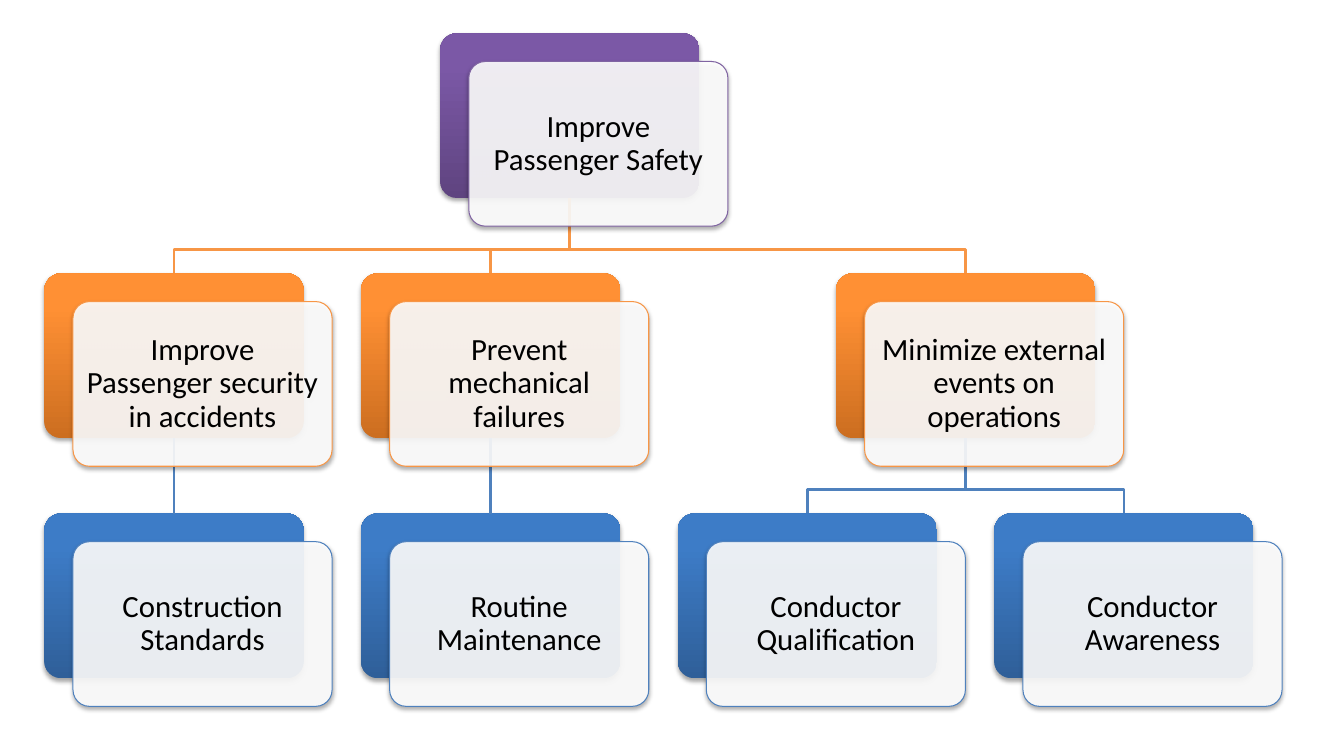
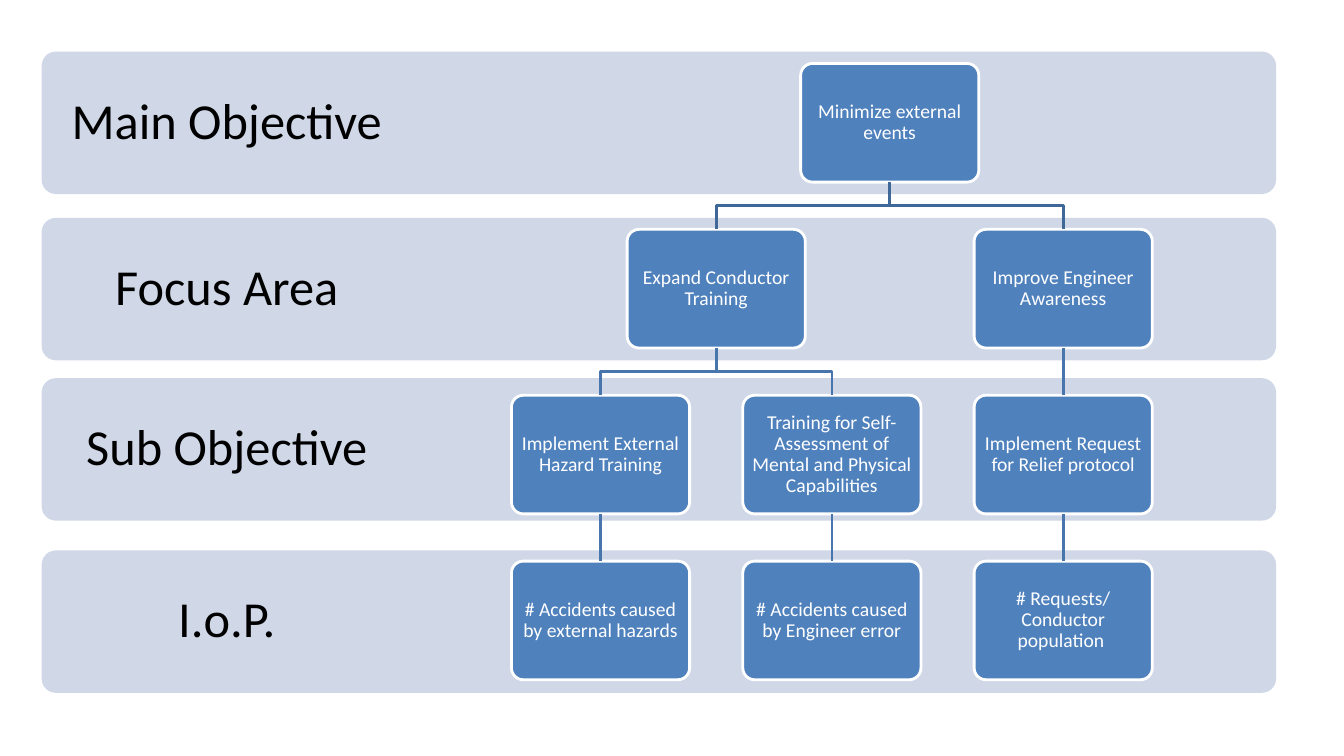
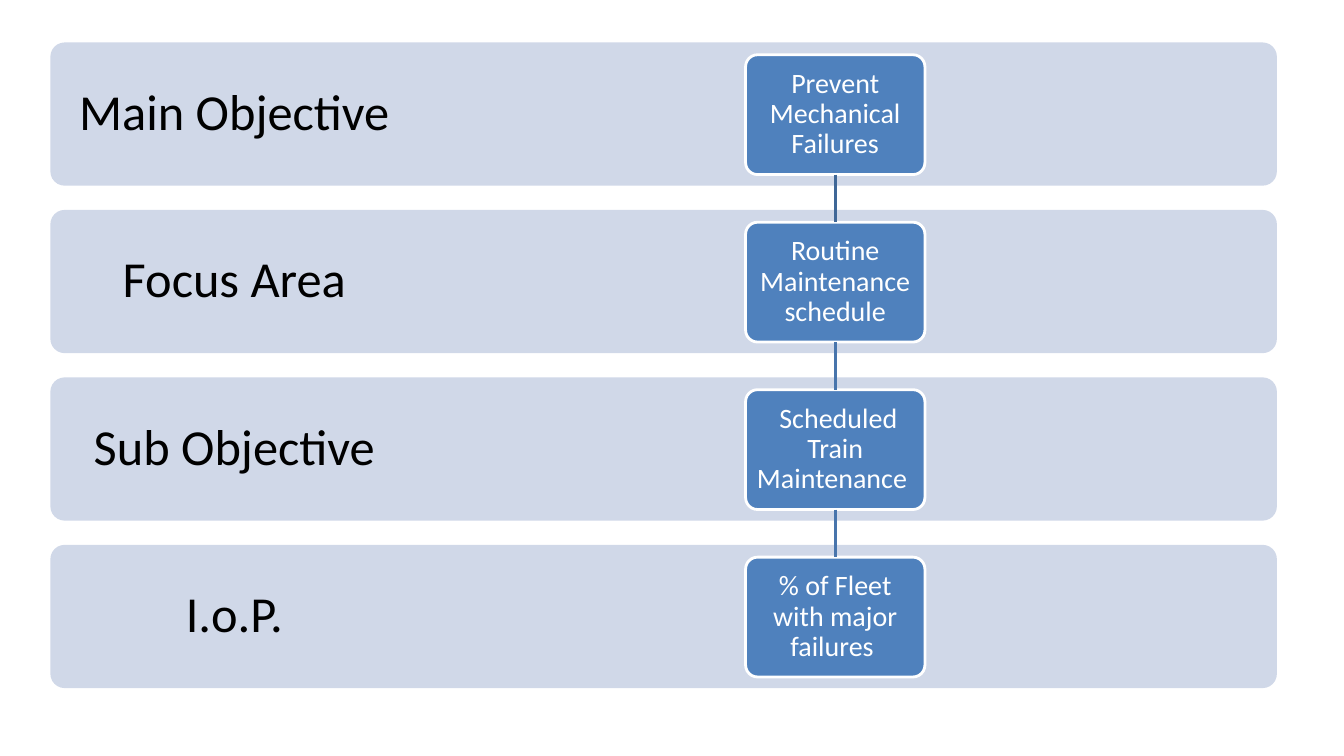
from lxml.etree import SubElement
from pptx import Presentation
from pptx.dml.color import RGBColor
from pptx.enum.shapes import MSO_CONNECTOR, MSO_SHAPE
from pptx.enum.text import MSO_ANCHOR, PP_ALIGN
from pptx.oxml.ns import qn
from pptx.util import Cm, Pt

FONT = "Calibri"
BLACK = RGBColor(0x00, 0x00, 0x00)
WHITE = RGBColor(0xFF, 0xFF, 0xFF)
BLUE = RGBColor(0x4F, 0x81, 0xBD)
ORANGE = RGBColor(0xF7, 0x96, 0x46)
PURPLE = RGBColor(0x80, 0x64, 0xA2)
BAND = RGBColor(0xD0, 0xD8, 0xE8)
LINE_DARK = RGBColor(0x3F, 0x67, 0x97)
LINE_MID = RGBColor(0x48, 0x75, 0xAC)
GRADIENTS = [
    (RGBColor(0x5F, 0x44, 0x80), RGBColor(0x7B, 0x58, 0xA6)),
    (RGBColor(0xCC, 0x6E, 0x20), RGBColor(0xFF, 0x90, 0x34)),
    (RGBColor(0x2F, 0x5F, 0x99), RGBColor(0x3D, 0x7C, 0xC7)),
]
CARD_LINES = [PURPLE, ORANGE, BLUE]
BOX_LINES = [None, LINE_DARK, LINE_MID, LINE_MID]
BAND_LABELS = ["Main Objective", "Focus Area", "Sub Objective", "I.o.P."]

SAFETY = ("Improve Passenger Safety", [
    ("Improve Passenger security in accidents", [("Construction Standards", [])]),
    ("Prevent mechanical failures", [("Routine Maintenance", [])]),
    ("Minimize external events on operations", [
        ("Conductor Qualification", []),
        ("Conductor Awareness", []),
    ]),
])
EXTERNAL = ("Minimize external events", [
    ("Expand Conductor Training", [
        ("Implement External Hazard Training", [
            ("# Accidents caused by external hazards", [])]),
        ("Training for Self-Assessment of Mental and Physical Capabilities", [
            ("# Accidents caused by Engineer error", [])]),
    ]),
    ("Improve Engineer Awareness", [
        ("Implement Request for Relief protocol", [
            ("# Requests/ Conductor population ", [])]),
    ]),
])
MECHANICAL = ("Prevent Mechanical Failures", [
    ("Routine Maintenance schedule", [
        (" Scheduled Train Maintenance ", [
            ("% of Fleet with major failures ", [])]),
    ]),
])

CARD_GRID = dict(left=1.12, top=0.84, width=6.53, height=4.15, dx=7.98, dy=6.05)
BAND_SLIDES = [
    dict(tree=EXTERNAL, size=14, inset=0.15,
         grid=dict(left=12.89, top=1.6, width=4.49, height=2.99, dx=5.83, dy=4.18),
         bands=dict(left=1.05, width=31.11, height=3.59, tops=[1.3, 5.49, 9.53, 13.87])),
    dict(tree=MECHANICAL, size=20, inset=0.2,
         grid=dict(left=18.79, top=1.38, width=4.52, height=3.02, dx=0, dy=4.22),
         bands=dict(left=1.27, width=30.91, height=3.61,
                    tops=[1.07 + 4.22 * i for i in range(4)])),
]


def place(tree):
    nodes, next_col = [], 0

    def visit(node, level, parent):
        nonlocal next_col
        text, children = node
        item = dict(text=text, level=level, parent=parent)
        nodes.append(item)
        cols = [visit(child, level + 1, item) for child in children]
        if cols:
            item["col"] = (cols[0] + cols[-1]) / 2
        else:
            item["col"] = next_col
            next_col += 1
        return item["col"]

    visit(tree, 0, None)
    return nodes


def add_round_rect(s, left, top, width, height):
    sp = s.shapes.add_shape(MSO_SHAPE.ROUNDED_RECTANGLE,
                            Cm(left), Cm(top), Cm(width), Cm(height))
    sp.adjustments[0] = 0.1
    sp.shadow.inherit = False
    sp.line.fill.background()
    return sp


def fill_solid(sp, color):
    sp.fill.solid()
    sp.fill.fore_color.rgb = color


def set_line(sp, color, width):
    sp.line.color.rgb = color
    sp.line.width = Pt(width)


def add_shadow(sp):
    effects = sp._element.spPr.find(qn("a:effectLst"))
    shadow = SubElement(effects, qn("a:outerShdw"), blurRad="40000",
                        dist="23000", dir="5400000", rotWithShape="0")
    color = SubElement(shadow, qn("a:srgbClr"), val="000000")
    SubElement(color, qn("a:alpha"), val="35000")


def write(sp, text, size, color, inset):
    tf = sp.text_frame
    tf.word_wrap = True
    tf.vertical_anchor = MSO_ANCHOR.MIDDLE
    tf.margin_left = tf.margin_right = tf.margin_top = tf.margin_bottom = Cm(inset)
    p = tf.paragraphs[0]
    p.alignment = PP_ALIGN.CENTER
    p.line_spacing = 0.9
    r = p.add_run()
    r.text = text
    r.font.name = FONT
    r.font.size = Pt(size)
    r.font.color.rgb = color


def add_boxes(s, nodes, grid):
    for n in nodes:
        n["left"] = grid["left"] + n["col"] * grid["dx"]
        n["top"] = grid["top"] + n["level"] * grid["dy"]
        n["box"] = add_round_rect(s, n["left"], n["top"], grid["width"], grid["height"])


def link(s, parent, child, color, bend):
    x1, y1 = parent.left + parent.width // 2, parent.top + parent.height
    x2, y2 = child.left + child.width // 2, child.top
    if x1 == x2:
        line = s.shapes.add_connector(MSO_CONNECTOR.STRAIGHT, x1, y1, x2, y2)
        line.begin_connect(parent, 2)
        line.end_connect(child, 0)
        set_line(line, color, 2)
        SubElement(line._element.spPr, qn("a:effectLst"))
    else:
        mid = y1 + round((y2 - y1) * bend)
        builder = s.shapes.build_freeform(x1, y1)
        builder.add_line_segments([(x1, mid), (x2, mid), (x2, y2)], close=False)
        line = builder.convert_to_shape()
        line.fill.background()
        line.shadow.inherit = False
        set_line(line, color, 2)


def link_all(s, nodes, colors, bend):
    for n in nodes:
        if n["parent"]:
            link(s, n["parent"]["box"], n["box"], colors[n["level"]], bend)


def add_card_slide(prs):
    s = prs.slides.add_slide(prs.slide_layouts[6])
    nodes = place(SAFETY)
    add_boxes(s, nodes, CARD_GRID)
    for n in nodes:
        fill = n["box"].fill
        fill.gradient()
        fill.gradient_angle = 90
        for stop, color, position in zip(fill.gradient_stops, GRADIENTS[n["level"]], (0, 0.8)):
            stop.color.rgb = color
            stop.position = position
        add_shadow(n["box"])
    link_all(s, nodes, CARD_LINES, 0.68)
    for n in nodes:
        card = add_round_rect(s, n["left"] + 0.72, n["top"] + 0.71,
                              CARD_GRID["width"], CARD_GRID["height"])
        fill_solid(card, WHITE)
        color = card._element.spPr.find(qn("a:solidFill")).find(qn("a:srgbClr"))
        SubElement(color, qn("a:alpha"), val="90000")
        set_line(card, CARD_LINES[n["level"]], 0.75)
        add_shadow(card)
        write(card, n["text"], 22, BLACK, 0.23)


def add_band_slide(prs, tree, size, inset, grid, bands):
    s = prs.slides.add_slide(prs.slide_layouts[6])
    for label, top in zip(BAND_LABELS, bands["tops"]):
        band = add_round_rect(s, bands["left"], top, bands["width"], bands["height"])
        fill_solid(band, BAND)
        write(band, label, 36, BLACK, 0.6)
        band.text_frame.margin_right = Cm(0.7 * bands["width"] + 0.6)
    nodes = place(tree)
    add_boxes(s, nodes, grid)
    for n in nodes:
        fill_solid(n["box"], BLUE)
        set_line(n["box"], WHITE, 2)
        write(n["box"], n["text"], size, WHITE, inset)
    link_all(s, nodes, BOX_LINES, 0.5)


def main():
    prs = Presentation()
    prs.slide_width, prs.slide_height = Cm(33.87), Cm(19.05)
    add_card_slide(prs)
    for slide in BAND_SLIDES:
        add_band_slide(prs, **slide)
    prs.save("out.pptx")


if __name__ == "__main__":
    main()
